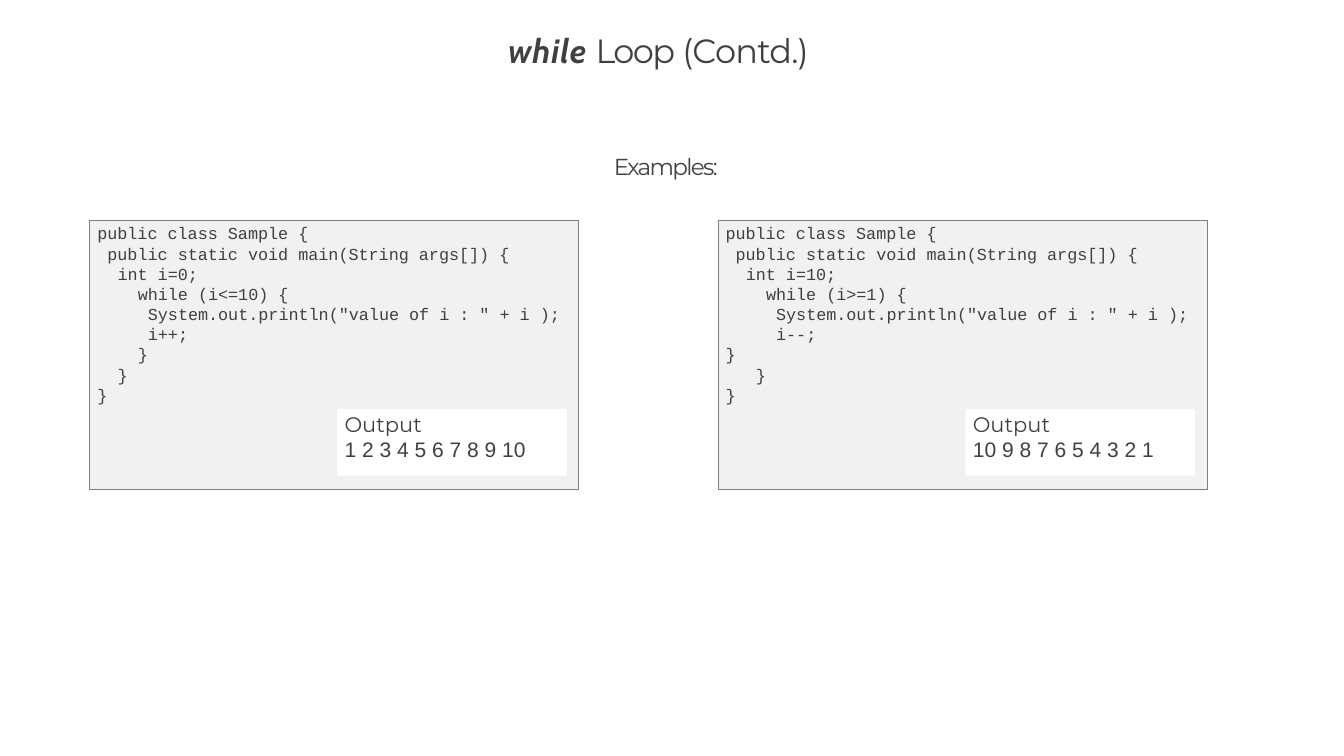
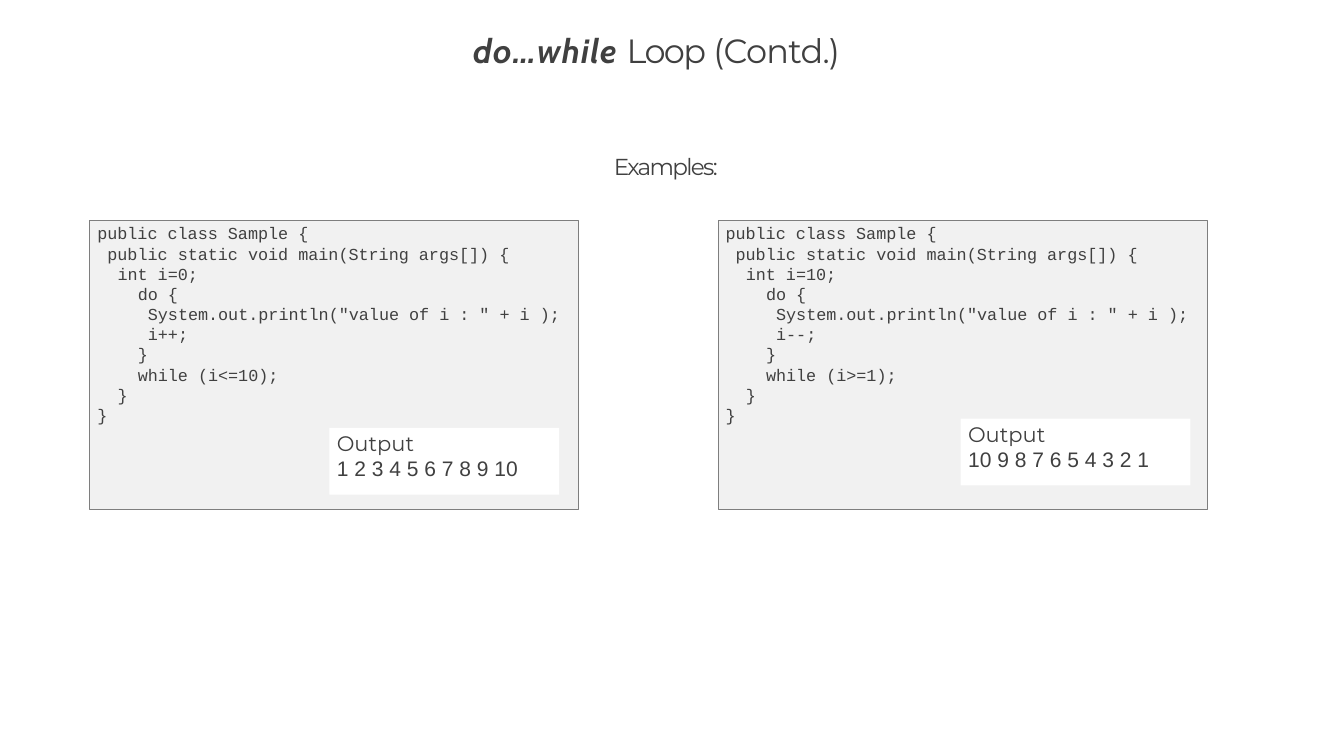
from pptx import Presentation
from pptx.dml.color import RGBColor
from pptx.enum.shapes import MSO_SHAPE
from pptx.enum.text import MSO_ANCHOR, MSO_AUTO_SIZE, PP_ALIGN
from pptx.util import Cm, Pt

RECT = MSO_SHAPE.RECTANGLE
TOP = MSO_ANCHOR.TOP
LEFT = PP_ALIGN.LEFT
NO_FIT = MSO_AUTO_SIZE.NONE

# Shared colours and text formats
INK = RGBColor(0x40, 0x40, 0x40)
PANEL = RGBColor(0xF1, 0xF1, 0xF1)
BORDER = RGBColor(0x7E, 0x7E, 0x7E)
WHITE = RGBColor(0xFF, 0xFF, 0xFF)

KEYWORD = {"name": "Cabin", "size": Pt(32), "bold": True, "italic": True}
HEADING = {"name": "Montserrat", "size": Pt(32), "bold": False, "italic": False}
SUBHEAD = {"name": "Montserrat", "size": Pt(22)}
CODE = {"name": "Courier New", "size": Pt(16)}
LABEL = {"name": "Montserrat", "size": Pt(20)}
RESULT = {"name": "Arial", "size": Pt(20)}

# Shared places, in cm
PANEL_LEFTS = (3.02, 24.13)
PANEL_TOP, PANEL_W = 7.42, 16.43
OUTPUT_W, OUTPUT_H = 7.72, 2.24
PAD, CHAR = 0.25, 0.34  # left text margin, width of one code character

UP = "1 2 3 4 5 6 7 8 9 10"
DOWN = "10 9 8 7 6 5 4 3 2 1"


def sample(start, body):
    """Code lines as (indent in characters, text)."""
    return [
        (0, "public class Sample {"),
        (1, "public static void main(String args[]) {"),
        (2, f"int i={start};"),
        *body,
        (0, "}"),
    ]


def while_code(start, test, step, closing):
    return sample(start, [
        (4, f"while ({test}) {{"),
        (5, 'System.out.println("value of i : " + i );'),
        (5, f"{step};"),
        *((indent, "}") for indent in closing),
    ])


def do_code(start, test, step):
    return sample(start, [
        (4, "do {"),
        (5, 'System.out.println("value of i : " + i );'),
        (5, f"{step};"),
        (4, "}"),
        (4, f"while ({test});"),
        (2, "}"),
    ])


# Each panel: code lines, output text, output offset within the panel
SLIDES = [
    {"keyword": "while ", "tracking": 0.8, "title_box": (17.04, 0.97, 11.1, 1.42),
     "title_indent": 0.03, "panel_h": 9.02,
     "panels": [
         (while_code(0, "i<=10", "i++", (4, 2)), UP, (8.31, 6.32)),
         (while_code(10, "i>=1", "i--", (0, 3)), DOWN, (8.31, 6.32)),
     ]},
    {"keyword": "do…while ", "tracking": 1.1, "title_box": (14.25, 0.97, 16.66, 1.65),
     "title_indent": 1.65, "panel_h": 9.7,
     "panels": [
         (do_code(0, "i<=10", "i++"), UP, (8.05, 6.96)),
         (do_code(10, "i>=1", "i--"), DOWN, (8.15, 6.65)),
     ]},
]


def prepare_frame(sp, inset_top):
    tf = sp.text_frame
    formats = {"word_wrap": True, "auto_size": NO_FIT, "vertical_anchor": TOP,
               "margin_left": 0, "margin_right": 0, "margin_bottom": 0,
               "margin_top": Cm(inset_top)}
    for key, value in formats.items():
        setattr(tf, key, value)
    return tf


def format_paragraph(p, indent=0.0, before=0.0):
    p.alignment = LEFT
    p.space_before = Pt(before)
    pPr = p._p.get_or_add_pPr()
    pPr.set("marL", str(int(Cm(indent))))
    pPr.set("indent", "0")


def add_run(p, text, fmt, tracking=0):
    r = p.add_run()
    r.text = text
    for key, value in fmt.items():
        setattr(r.font, key, value)
    r.font.color.rgb = INK
    if tracking:
        r._r.get_or_add_rPr().set("spc", str(round(tracking * 100)))


def next_paragraph(tf, i):
    return tf.add_paragraph() if i else tf.paragraphs[0]


def add_box(slide, box, fill, line=None):
    sp = slide.shapes.add_shape(RECT, *map(Cm, box))
    sp.shadow.inherit = False
    sp.fill.solid()
    sp.fill.fore_color.rgb = fill
    if line is None:
        sp.line.fill.background()
    else:
        sp.line.color.rgb = line
        sp.line.width = Pt(0.72)
    return prepare_frame(sp, 0.08)


def add_title(slide, box, keyword, tracking, indent):
    sp = slide.shapes.title
    sp.left, sp.top, sp.width, sp.height = map(Cm, box)
    p = prepare_frame(sp, 0.03).paragraphs[0]
    format_paragraph(p, indent, 1.1)
    add_run(p, keyword, KEYWORD, tracking)
    add_run(p, "Loop ", HEADING, -1.6)
    add_run(p, "(Contd.)", HEADING, -0.8)


def add_subhead(slide, box):
    sp = slide.shapes.add_textbox(*map(Cm, box))
    p = prepare_frame(sp, 0.03).paragraphs[0]
    format_paragraph(p, 0.03, 0.9)
    add_run(p, "Examples:", SUBHEAD, -1.6)


def add_output(slide, box, result):
    tf = add_box(slide, box, WHITE)
    for i, (text, fmt) in enumerate([("Output", LABEL), (result, RESULT)]):
        p = next_paragraph(tf, i)
        format_paragraph(p, PAD, 0 if i else 2.5)
        add_run(p, text, fmt)


def add_code_panel(slide, box, code, result, offset):
    tf = add_box(slide, box, PANEL, BORDER)
    for i, (indent, text) in enumerate(code):
        p = next_paragraph(tf, i)
        format_paragraph(p, PAD + CHAR * indent, 0 if i else 1.8)
        p.line_spacing = Pt(19.2)
        add_run(p, text, CODE)
    output_box = (box[0] + offset[0], box[1] + offset[1], OUTPUT_W, OUTPUT_H)
    add_output(slide, output_box, result)


def add_example_slide(prs, data):
    slide = prs.slides.add_slide(prs.slide_layouts[5])
    add_title(slide, data["title_box"], data["keyword"], data["tracking"],
              data["title_indent"])
    add_subhead(slide, (20.6, 5.08, 3.96, 0.99))
    for left, panel in zip(PANEL_LEFTS, data["panels"]):
        add_code_panel(slide, (left, PANEL_TOP, PANEL_W, data["panel_h"]), *panel)


def main():
    prs = Presentation()
    prs.slide_width, prs.slide_height = Cm(45.16), Cm(25.4)
    for data in SLIDES:
        add_example_slide(prs, data)
    prs.save("out.pptx")


if __name__ == "__main__":
    main()
